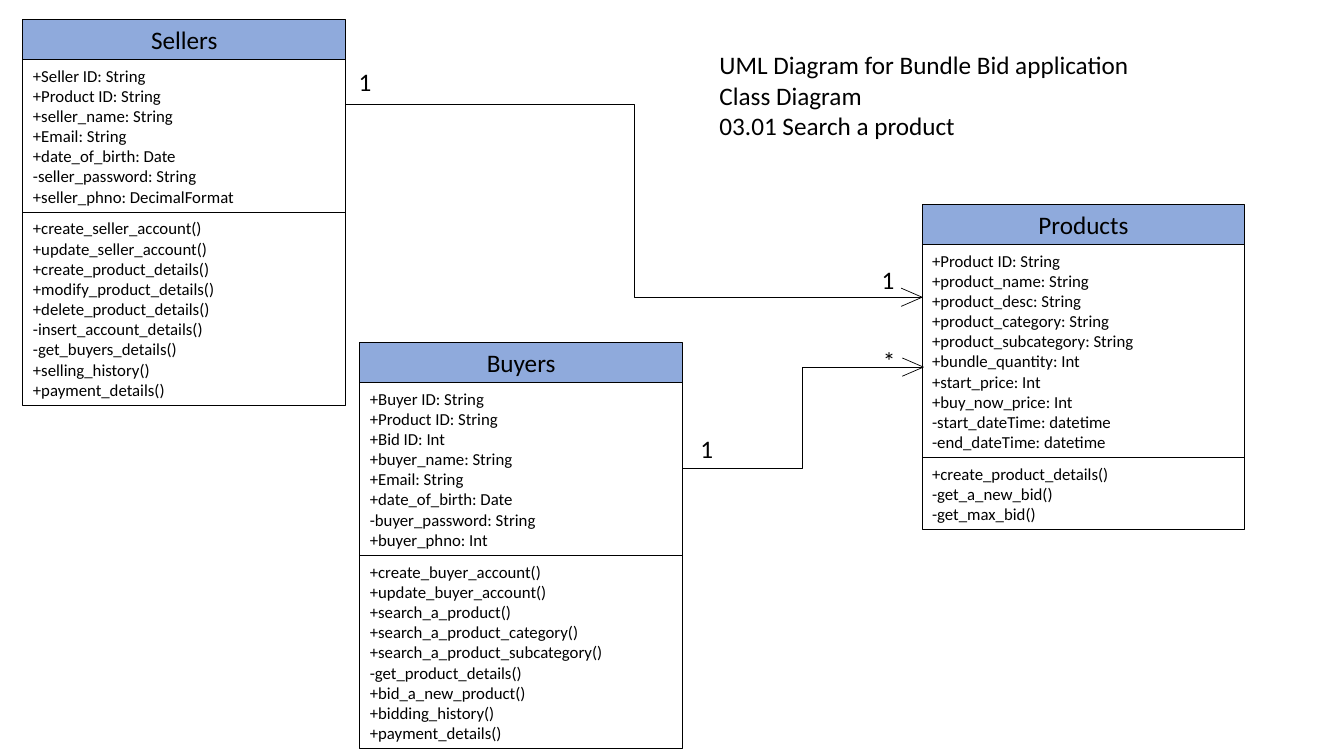
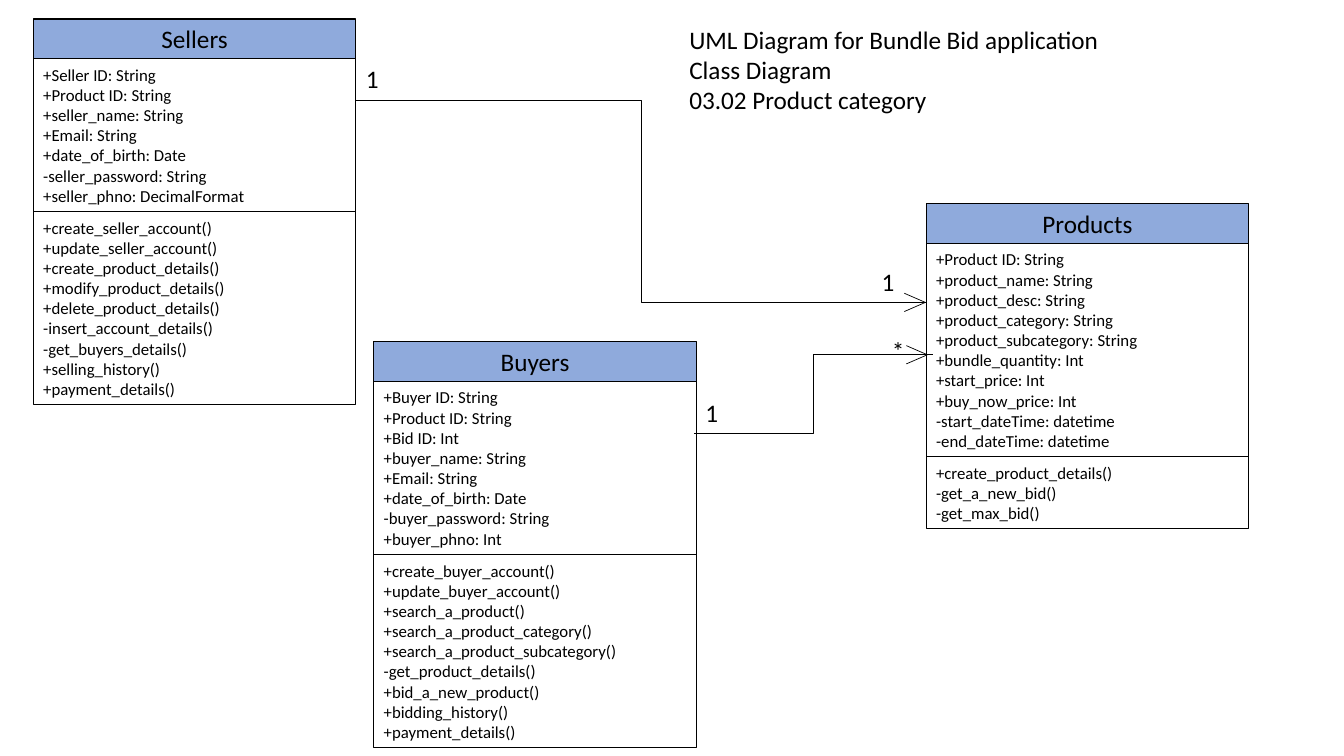
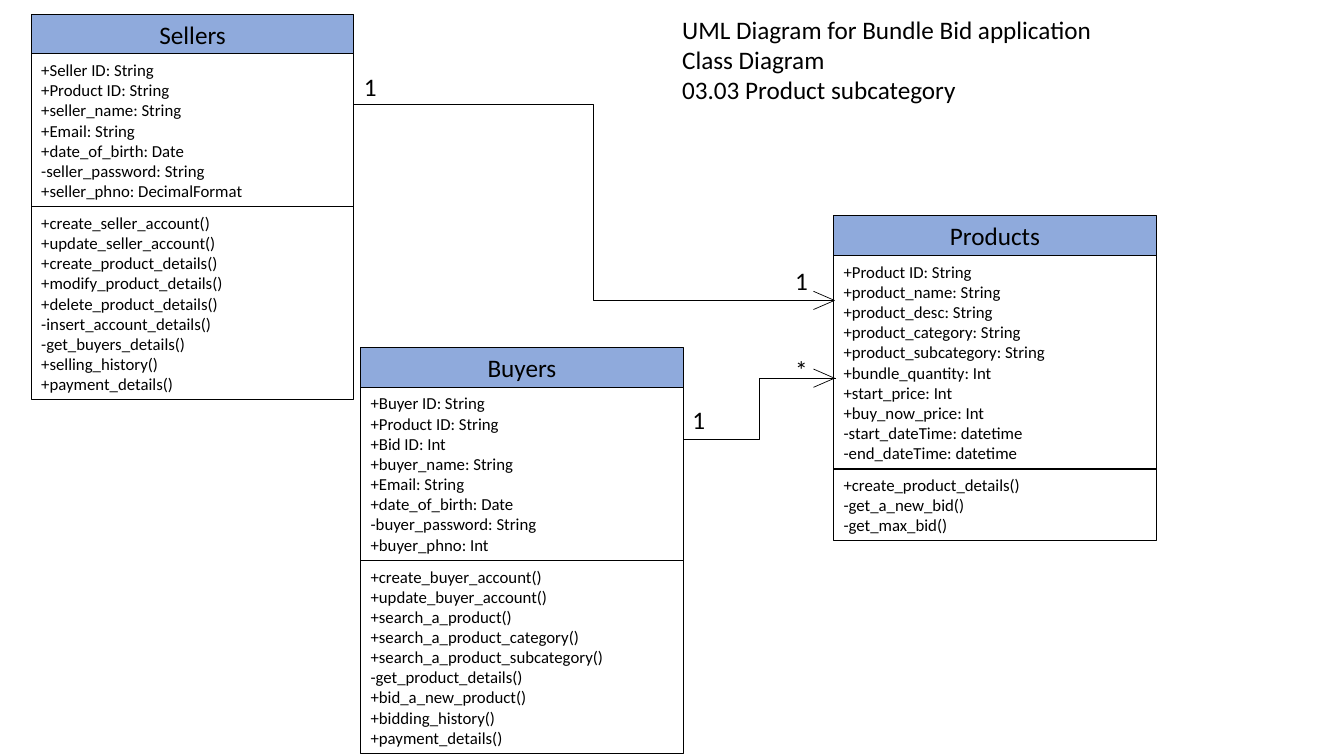
import pptx
import pptx.util
import pptx.dml.color
import pptx.enum.shapes
import pptx.enum.text
import pptx.oxml.ns
import lxml.etree

Cm = pptx.util.Cm
Pt = pptx.util.Pt
CONNECTOR = pptx.enum.shapes.MSO_CONNECTOR
ALIGN = pptx.enum.text.PP_ALIGN
ANCHOR = pptx.enum.text.MSO_ANCHOR

COLOURS = {"ink": "000000", "header": "8FAADC"}
FONT = "Calibri"
LARGE, SMALL = 18, 12

# Class boxes, in cm: a section is as tall as its lines need
CLASS_WIDTH = 8.13
HEADER_HEIGHT = 1.0
LINE_HEIGHT = 0.51
SECTION_PADDING = 0.28
ARROW_LENGTH, ARROW_SPREAD = 0.53, 0.23

# Attributes and operations of each class
CLASSES = {
    "Products": (
        ["+Product ID: String", "+product_name: String", "+product_desc: String",
         "+product_category: String", "+product_subcategory: String",
         "+bundle_quantity: Int", "+start_price: Int", "+buy_now_price: Int",
         "-start_dateTime: datetime", "-end_dateTime: datetime"],
        ["+create_product_details()", "-get_a_new_bid()", "-get_max_bid()"],
    ),
    "Sellers": (
        ["+Seller ID: String", "+Product ID: String", "+seller_name: String",
         "+Email: String", "+date_of_birth: Date", "-seller_password: String",
         "+seller_phno: DecimalFormat"],
        ["+create_seller_account()", "+update_seller_account()",
         "+create_product_details()", "+modify_product_details()",
         "+delete_product_details()", "-insert_account_details()",
         "-get_buyers_details()", "+selling_history()", "+payment_details()"],
    ),
    "Buyers": (
        ["+Buyer ID: String", "+Product ID: String", "+Bid ID: Int",
         "+buyer_name: String", "+Email: String", "+date_of_birth: Date",
         "-buyer_password: String", "+buyer_phno: Int"],
        ["+create_buyer_account()", "+update_buyer_account()",
         "+search_a_product()", "+search_a_product_category()",
         "+search_a_product_subcategory()", "-get_product_details()",
         "+bid_a_new_product()", "+bidding_history()", "+payment_details()"],
    ),
}

# Each association: start, end, x of the arrow tip, then its multiplicities
DIAGRAMS = [
    {
        "topic": "03.01 Search a product", "heading": (17.88, 1.12),
        "classes": {"Products": (23.24, 5.16), "Sellers": (0.58, 0.5),
                    "Buyers": (9.07, 8.64)},
        "associations": [
            ((8.71, 2.62), (23.24, 7.49), 23.24,
             [("1", 8.79, 1.55), ("1", 21.97, 6.53)]),
            ((17.2, 11.81), (23.24, 9.25), 23.27,
             [("1", 17.4, 10.8), ("*", 22.0, 8.56)]),
        ],
    },
    {
        "topic": "03.02 Product category", "heading": (17.12, 0.48),
        "classes": {"Products": (23.34, 5.13), "Sellers": (0.84, 0.48),
                    "Buyers": (9.42, 8.61)},
        "associations": [
            ((8.97, 2.54), (23.34, 7.62), 23.32,
             [("1", 8.97, 1.47), ("1", 21.97, 6.58)]),
            ((17.5, 10.92), (23.52, 8.94), 23.37,
             [("1", 17.53, 9.88), ("*", 22.23, 8.31)]),
        ],
    },
    {
        "topic": "03.03 Product subcategory", "heading": (16.94, 0.23),
        "classes": {"Products": (21.01, 5.44), "Sellers": (0.79, 0.36),
                    "Buyers": (9.09, 8.76)},
        "associations": [
            ((8.92, 2.64), (21.01, 7.57), 21.03,
             [("1", 8.92, 1.68), ("1", 19.79, 6.55)]),
            ((17.22, 11.07), (21.08, 9.53), 21.03,
             [("1", 17.2, 10.06), ("*", 19.79, 8.79)]),
        ],
    },
]


def colour(name):
    return pptx.dml.color.RGBColor.from_string(COLOURS[name])


class ClassDiagram:
    """Holds the deck, its style and the current slide."""

    def __init__(self):
        self.deck = pptx.Presentation()
        self.deck.slide_width, self.deck.slide_height = Cm(33.87), Cm(19.05)
        self.slide = None

    def new_slide(self):
        self.slide = self.deck.slides.add_slide(self.deck.slide_layouts[5])

    def add_lines(self, frame, lines, size, align=ALIGN.LEFT, anchor=ANCHOR.TOP):
        frame.word_wrap = True
        frame.auto_size = pptx.enum.text.MSO_AUTO_SIZE.NONE
        frame.vertical_anchor = anchor
        frame.margin_left = frame.margin_right = Cm(0.25)
        frame.margin_top = frame.margin_bottom = Cm(0.13)
        for index, line in enumerate(lines):
            paragraph = frame.add_paragraph() if index else frame.paragraphs[0]
            paragraph.alignment = align
            run = paragraph.add_run()
            run.text = line
            run.font.name = FONT
            run.font.size = Pt(size)
            run.font.color.rgb = colour("ink")

    def heading(self, left, top, lines):
        title = self.slide.shapes.title
        title.left, title.top = Cm(left), Cm(top)
        title.width, title.height = Cm(11.43), Cm(2.56)
        self.add_lines(title.text_frame, lines, LARGE)

    def label(self, text, left, top):
        box = self.slide.shapes.add_textbox(Cm(left), Cm(top), Cm(0.56), Cm(1.01))
        self.add_lines(box.text_frame, [text], LARGE)

    def section(self, left, top, height, lines, size, align=ALIGN.LEFT, fill=None):
        box = self.slide.shapes.add_shape(
            pptx.enum.shapes.MSO_SHAPE.RECTANGLE,
            Cm(left), Cm(top), Cm(CLASS_WIDTH), Cm(height))
        box.shadow.inherit = False
        if fill:
            box.fill.solid()
            box.fill.fore_color.rgb = colour(fill)
        else:
            box.fill.background()
        box.line.color.rgb = colour("ink")
        box.line.width = Pt(0.75)
        self.add_lines(box.text_frame, lines, size, align, ANCHOR.MIDDLE)

    def class_box(self, name, left, top):
        self.section(left, top, HEADER_HEIGHT, [name], LARGE, ALIGN.CENTER, "header")
        top += HEADER_HEIGHT
        for members in CLASSES[name]:
            height = LINE_HEIGHT * len(members) + SECTION_PADDING
            self.section(left, top, height, members, SMALL)
            top += height

    def line(self, start, end, kind=CONNECTOR.STRAIGHT):
        connector = self.slide.shapes.add_connector(
            kind, *(Cm(length) for length in (*start, *end)))
        connector.line.color.rgb = colour("ink")
        connector.line.width = Pt(0.5)
        lxml.etree.SubElement(connector._element.spPr,
                              pptx.oxml.ns.qn("a:effectLst"))

    def association(self, start, end, tip_x, multiplicities):
        self.line(start, end, CONNECTOR.ELBOW)
        tip_y = end[1]
        for spread in (-ARROW_SPREAD, ARROW_SPREAD):
            self.line((tip_x - ARROW_LENGTH, tip_y + spread), (tip_x, tip_y))
        for text, left, top in multiplicities:
            self.label(text, left, top)


uml = ClassDiagram()
for diagram in DIAGRAMS:
    uml.new_slide()
    uml.heading(*diagram["heading"], [
        "UML Diagram for Bundle Bid application", "Class Diagram", diagram["topic"]])
    for class_name, corner in diagram["classes"].items():
        uml.class_box(class_name, *corner)
    for association in diagram["associations"]:
        uml.association(*association)
uml.deck.save("out.pptx")
